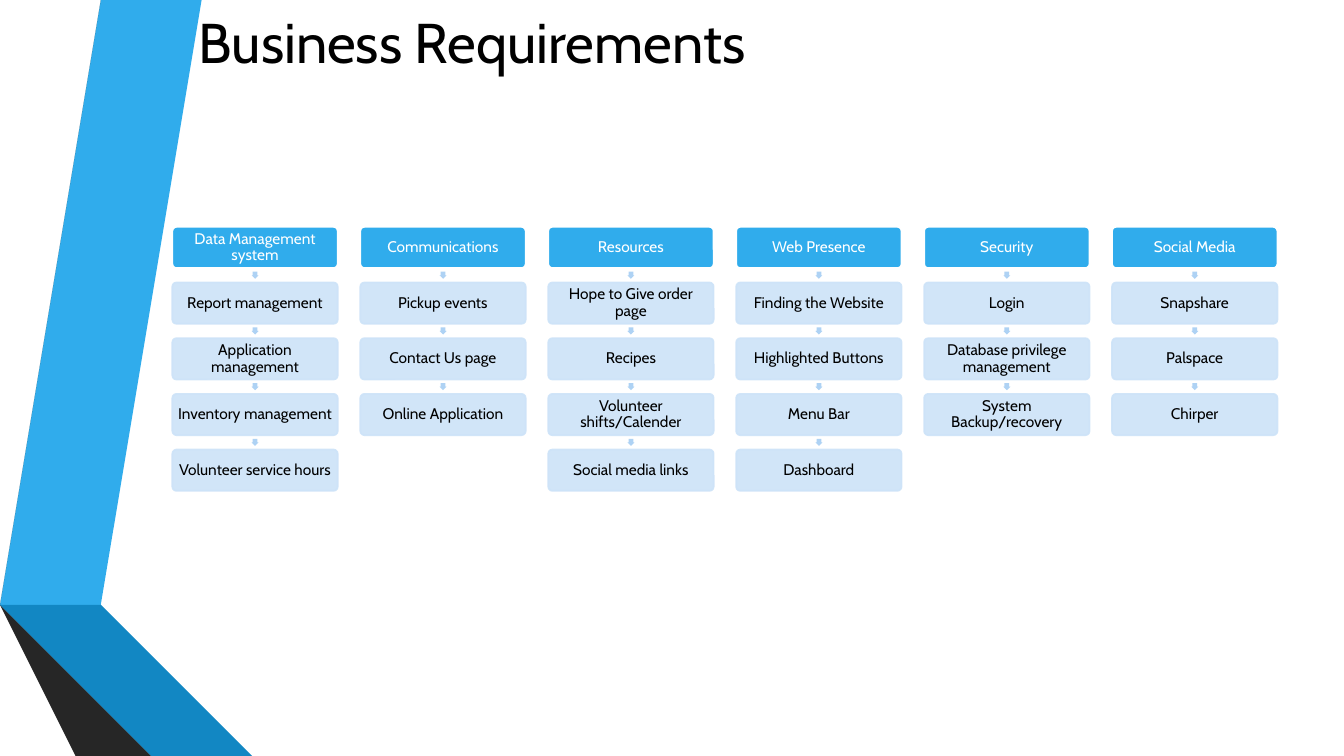
from lxml.etree import SubElement
from pptx import Presentation
from pptx.dml.color import RGBColor
from pptx.enum.shapes import MSO_SHAPE as Shape
from pptx.enum.text import MSO_ANCHOR as Anchor, PP_ALIGN as Align
from pptx.oxml.ns import qn
from pptx.util import Inches, Pt

WHITE = RGBColor(0xFF, 0xFF, 0xFF)
BLACK = RGBColor(0x00, 0x00, 0x00)
SKY = RGBColor(0x30, 0xAC, 0xEC)
OCEAN = RGBColor(0x12, 0x87, 0xC3)
NAVY = RGBColor(0x0C, 0x5A, 0x82)
GREY = RGBColor(0x59, 0x59, 0x59)
CHARCOAL = RGBColor(0x40, 0x40, 0x40)
SOOT = RGBColor(0x26, 0x26, 0x26)
PALE = RGBColor(0xCD, 0xE3, 0xF8)
ARROW_BLUE = RGBColor(0xAE, 0xD2, 0xF4)

FONT = "Cabin"
SLIDE_W, SLIDE_H = 13.33, 7.5
GRID_LEFT, GRID_TOP = 1.71, 2.25
COLUMN_STEP = (11.03 - GRID_LEFT) / 5
ROW_STEP = (4.46 - GRID_TOP) / 4
BOX_W, BOX_H = 1.64, 0.41
ARROW_SIZE = 0.07

RIBBONS = [
    (SKY, [(0.5, 5.78), (0.77, 5.83), (1.73, 0), (1.45, 0)]),
    (GREY, [(1.39, 0), (1.11, 0), (0.16, 5.73), (0.44, 5.77)]),
    (SOOT, [(0.16, 5.73), (1.45, SLIDE_H), (1.51, SLIDE_H)]),
    (NAVY, [(0.5, 5.79), (2.08, SLIDE_H), (2.14, SLIDE_H)]),
    (OCEAN, [(0.5, 5.78), (2.14, SLIDE_H), (2.83, SLIDE_H), (0.77, 5.83)]),
    (CHARCOAL, [(2.02, SLIDE_H), (0.48, 5.83), (0.44, 5.77), (0.16, 5.73), (1.51, SLIDE_H)]),
]

REQUIREMENTS = {
    "Data Management system": ["Report management", "Application management",
                               "Inventory management", "Volunteer service hours"],
    "Communications": ["Pickup events", "Contact Us page", "Online Application"],
    "Resources": ["Hope to Give order page", "Recipes",
                  "Volunteer shifts/Calender", "Social media links"],
    "Web Presence": ["Finding the Website", "Highlighted Buttons", "Menu Bar", "Dashboard"],
    "Security": ["Login", "Database privilege management", "System Backup/recovery"],
    "Social Media": ["Snapshare", "Palspace", "Chirper"],
}


def write(holder, text, size=11, color=BLACK, inset=0.02, spacing=0.9):
    frame = holder.text_frame
    frame.word_wrap = True
    frame.vertical_anchor = Anchor.MIDDLE
    frame.margin_left = frame.margin_right = Inches(inset)
    frame.margin_top = frame.margin_bottom = Inches(inset)
    paragraph = frame.paragraphs[0]
    paragraph.alignment = Align.CENTER
    paragraph.line_spacing = spacing
    run = paragraph.add_run()
    run.text = text
    run.font.name = FONT
    run.font.size = Pt(size)
    run.font.color.rgb = color


def paint(shape, fill, line=None):
    shape.shadow.inherit = False
    shape.fill.solid()
    shape.fill.fore_color.rgb = fill
    if line is None:
        shape.line.fill.background()
    else:
        shape.line.color.rgb = line
        shape.line.width = Pt(1.25)


def soften(shape, percent):
    for color in list(shape._element.spPr.iter(qn("a:srgbClr"))):
        SubElement(color, qn("a:alpha"), val=str(percent * 1000))


def add_ribbon(slide, color, points):
    builder = slide.shapes.build_freeform(*points[0], scale=Inches(1))
    builder.add_line_segments(points[1:], close=True)
    paint(builder.convert_to_shape(), color)


def add_box(slide, column, row, text):
    left = GRID_LEFT + column * COLUMN_STEP
    top = GRID_TOP + row * ROW_STEP
    box = slide.shapes.add_shape(Shape.ROUNDED_RECTANGLE, Inches(left), Inches(top),
                                 Inches(BOX_W), Inches(BOX_H))
    box.adjustments[0] = 0.1
    if row == 0:
        paint(box, SKY, WHITE)
        write(box, text, color=WHITE)
    else:
        paint(box, PALE, PALE)
        soften(box, 90)
        write(box, text)


def add_arrow(slide, column, row):
    center_x = GRID_LEFT + column * COLUMN_STEP + BOX_W / 2
    center_y = GRID_TOP + row * ROW_STEP - (ROW_STEP - BOX_H) / 2
    arrow = slide.shapes.add_shape(
        Shape.RIGHT_ARROW, Inches(center_x - ARROW_SIZE / 2),
        Inches(center_y - ARROW_SIZE / 2), Inches(ARROW_SIZE), Inches(ARROW_SIZE))
    arrow.rotation = 90
    arrow.adjustments[0] = 0.67
    arrow.adjustments[1] = 0.5
    paint(arrow, ARROW_BLUE)


def main():
    deck = Presentation()
    deck.slide_width, deck.slide_height = Inches(SLIDE_W), Inches(SLIDE_H)
    slide = deck.slides.add_slide(deck.slide_layouts[6])
    for color, points in RIBBONS:
        add_ribbon(slide, color, points)
    title = slide.shapes.add_textbox(Inches(1.18), 0, Inches(7), Inches(0.81))
    write(title, "Business Requirements", size=40, inset=0.05, spacing=1.0)
    for column, (area, needs) in enumerate(REQUIREMENTS.items()):
        add_box(slide, column, 0, area)
        for row, need in enumerate(needs, start=1):
            add_arrow(slide, column, row)
            add_box(slide, column, row, need)
    deck.save("out.pptx")


if __name__ == "__main__":
    main()
